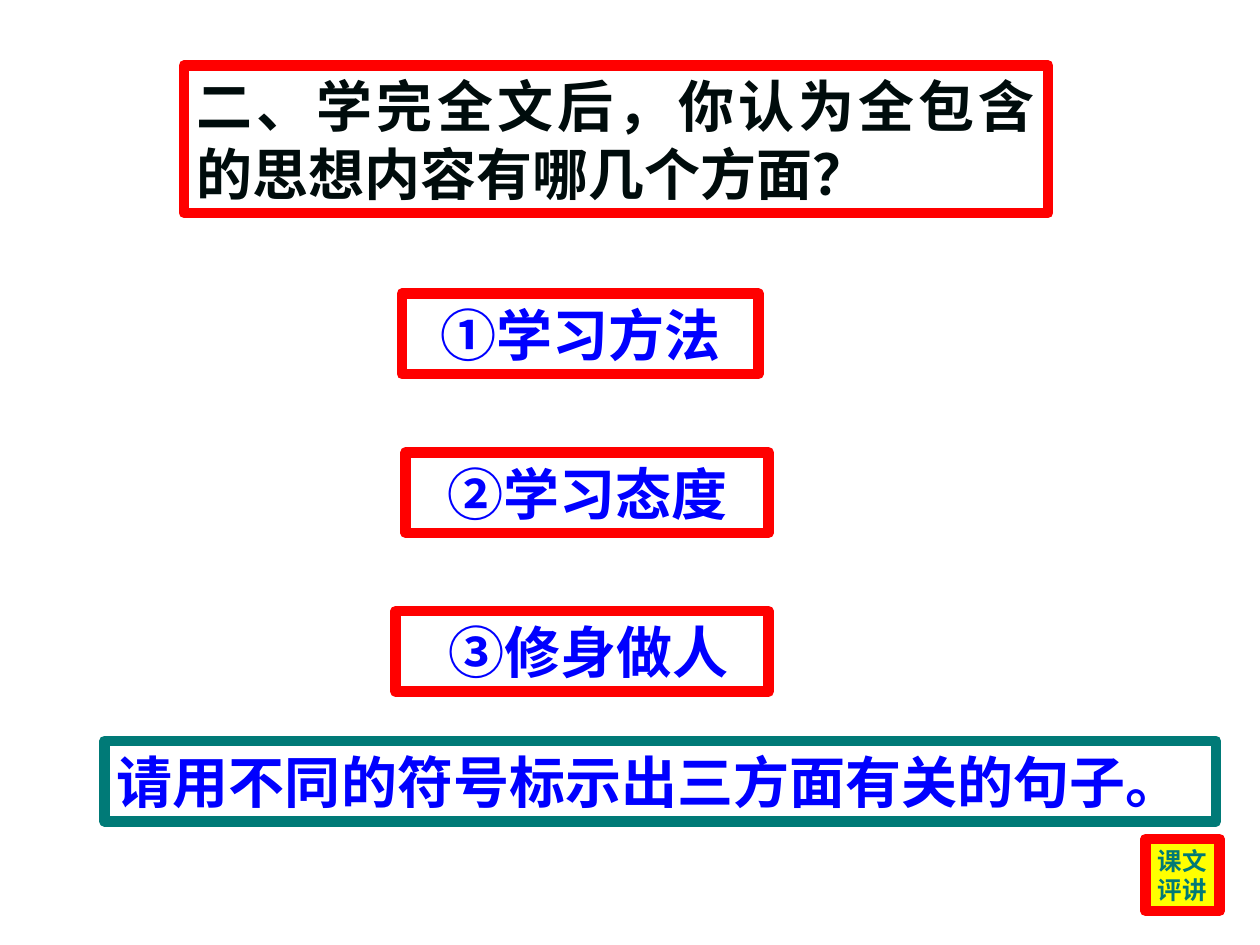
"""Build a lesson slide with a question, three aspects, a task and a label."""
from pptx import Presentation
from pptx.dml.color import RGBColor
from pptx.enum.shapes import MSO_SHAPE
from pptx.enum.text import MSO_ANCHOR, PP_ALIGN
from pptx.oxml.ns import qn
from pptx.util import Inches, Pt

RECTANGLE = MSO_SHAPE.RECTANGLE
MIDDLE = MSO_ANCHOR.MIDDLE
LEFT, CENTER, JUSTIFY = PP_ALIGN.LEFT, PP_ALIGN.CENTER, PP_ALIGN.JUSTIFY
CJK_FONT = "Noto Sans CJK SC"
COLORS = {
    "red": "FF0000",
    "teal": "007A77",
    "blue": "0000FF",
    "ink": "000C0C",
    "yellow": "FFFF00",
}


def color(name):
    return RGBColor.from_string(COLORS[name])


def add_box(slide, position, lines, line_color, text_color, alignment,
            size=32, font_name=CJK_FONT, fill=None, wrap=True):
    shape = slide.shapes.add_shape(RECTANGLE, *map(Inches, position))
    shape.shadow.inherit = False
    if fill:
        shape.fill.solid()
        shape.fill.fore_color.rgb = color(fill)
    else:
        shape.fill.background()
    shape.line.color.rgb = color(line_color)
    shape.line.width = Pt(6)
    frame = shape.text_frame
    frame.word_wrap = wrap
    frame.vertical_anchor = MIDDLE
    for index, line in enumerate(lines):
        paragraph = frame.add_paragraph() if index else frame.paragraphs[0]
        paragraph.alignment = alignment
        run = paragraph.add_run()
        run.text = line
        run.font.size = Pt(size)
        run.font.bold = True
        run.font.name = font_name
        run.font.color.rgb = color(text_color)
        east_asian = run.font._element.makeelement(qn("a:ea"), {"typeface": CJK_FONT})
        run.font._element.find(qn("a:latin")).addnext(east_asian)
    return shape


presentation = Presentation()
presentation.slide_width = Inches(10)
presentation.slide_height = Inches(7.5)
slide = presentation.slides.add_slide(presentation.slide_layouts[6])

add_box(slide, (1.46, 0.52, 6.86, 1.17),
        ["二、学完全文后，你认为全包含的思想内容有哪几个方面？"],
        "red", "ink", JUSTIFY)

aspects = [
    ("①学习方法", 3.19, 2.83, 0.1),
    ("②学习态度", 3.22, 2.88, 0.1),
    ("③修身做人", 3.14, 2.96, 0.2),
]
for row, (aspect, left, width, inset) in enumerate(aspects):
    box = add_box(slide, (left, 2.33 + 1.26 * row, width, 0.64),
                  [aspect], "red", "blue", CENTER)
    box.text_frame.margin_left = Inches(inset)

add_box(slide, (0.83, 5.88, 8.82, 0.64),
        ["请用不同的符号标示出三方面有关的句子。"], "teal", "blue", LEFT)

add_box(slide, (9.09, 6.66, 0.59, 0.57), ["课文", "评讲"], "red", "teal", LEFT,
        size=14, font_name="Arial", fill="yellow", wrap=False)

presentation.save("out.pptx")
